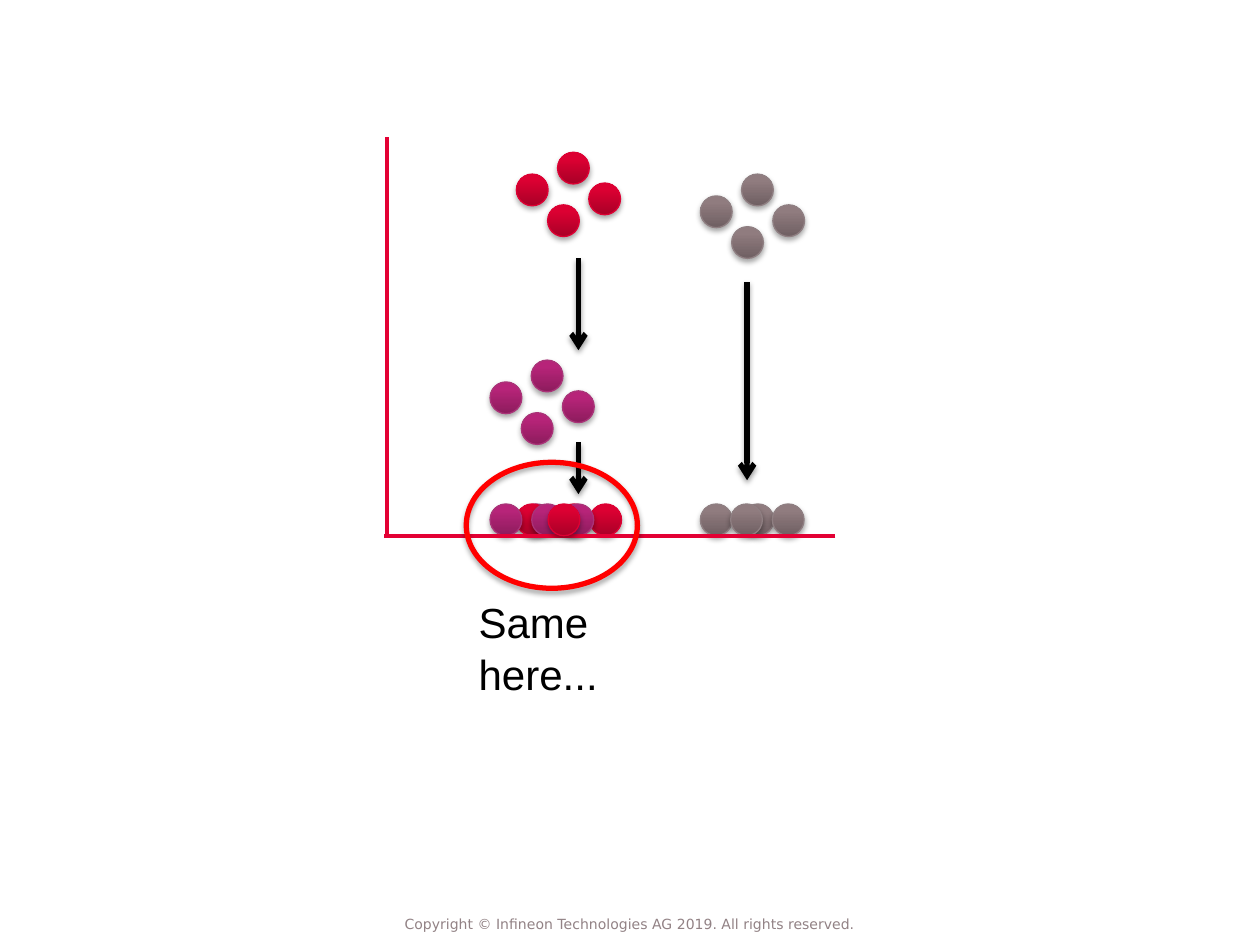
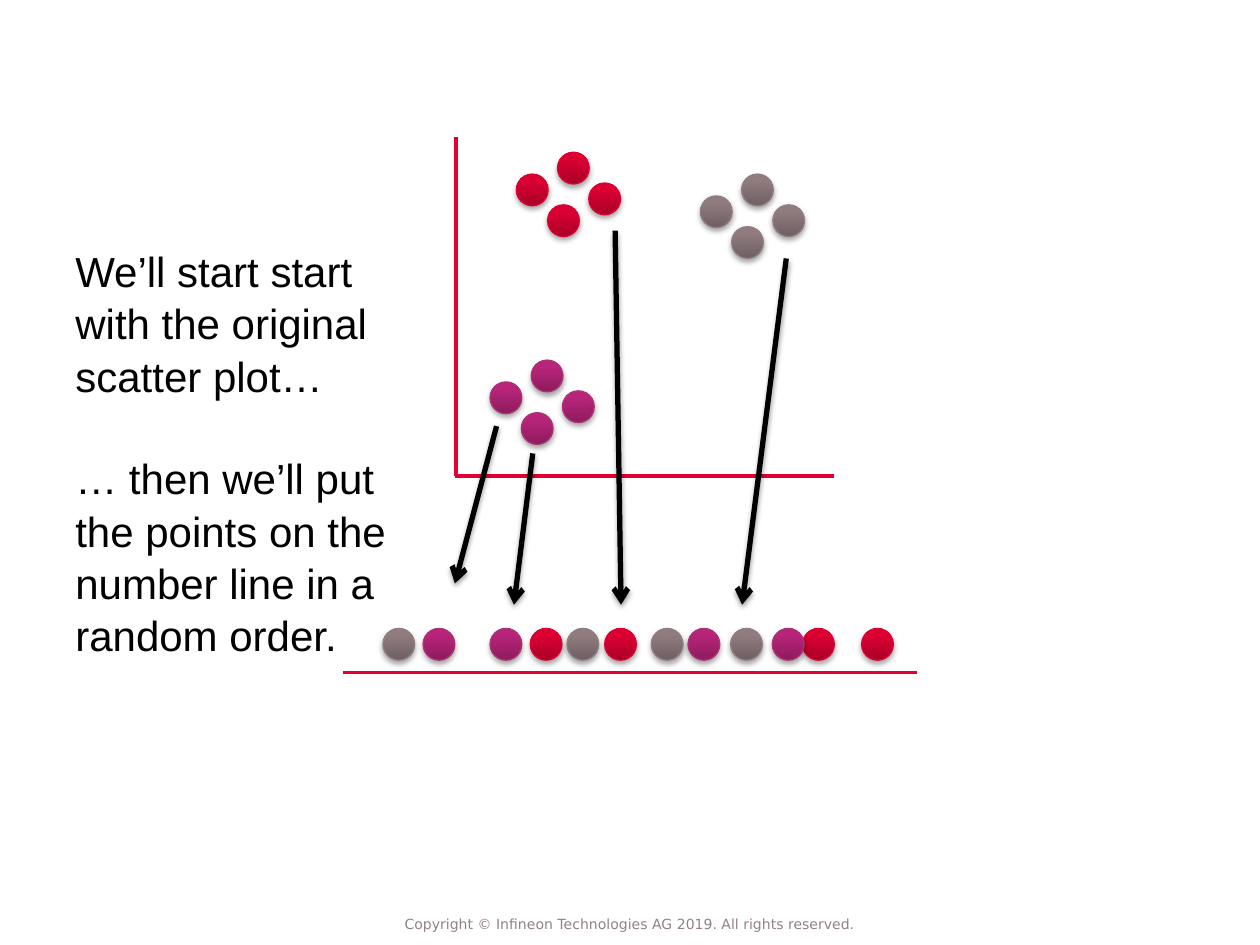
"""Build two slides that project a scatter plot onto a number line."""
from lxml import etree
from pptx import Presentation
from pptx.dml.color import RGBColor
from pptx.enum.shapes import MSO_CONNECTOR, MSO_SHAPE
from pptx.enum.text import MSO_ANCHOR, MSO_AUTO_SIZE, PP_ALIGN
from pptx.oxml.ns import qn
from pptx.util import Cm, Pt

OVAL = MSO_SHAPE.OVAL
LINE = MSO_CONNECTOR.STRAIGHT
MIDDLE = MSO_ANCHOR.MIDDLE
GROW = MSO_AUTO_SIZE.SHAPE_TO_FIT_TEXT
FIXED = MSO_AUTO_SIZE.NONE
CENTER = PP_ALIGN.CENTER

COLORS = {
    "black": "000000", "axis": "E30034", "ring": "FF0000", "foot": "928285",
    "red": "DC0032", "red low": "A90027", "red edge": "DE0033",
    "plum": "B72479", "plum low": "8D1C5D", "plum edge": "AA3378",
    "gray": "907C7F", "gray low": "6F5F62", "gray edge": "8F7F82",
}
FOOTER = "Copyright © Infineon Technologies AG 2019. All rights reserved."
DOT = 0.64
SPOTS = [(0, 0.44), (0.83, 0), (0.63, 1.06), (1.46, 0.62)]
GROUPS = {"red": (10.41, 3.07), "plum": (9.88, 7.26), "gray": (14.12, 3.51)}


def color(name):
    """Return the named colour."""
    return RGBColor.from_string(COLORS[name])


def stroke(item, name, width):
    """Set the colour and width of a line."""
    item.line.color.rgb = color(name)
    item.line.width = Pt(width)


def shade(item, alpha, drop):
    """Cast a soft shadow straight down."""
    props = item._element.spPr
    effects = props.find(qn("a:effectLst"))
    if effects is None:
        effects = etree.SubElement(props, qn("a:effectLst"))
    cast = etree.SubElement(
        effects, qn("a:outerShdw"), blurRad=str(Pt(3.1)), dist=str(Pt(drop)),
        dir="5400000", rotWithShape="0")
    tint = etree.SubElement(cast, qn("a:srgbClr"), val=COLORS["black"])
    etree.SubElement(tint, qn("a:alpha"), val=str(alpha * 1000))


def add_oval(slide, left, top, width, height):
    """Add an oval with a soft shadow."""
    oval = slide.shapes.add_shape(
        OVAL, Cm(left), Cm(top), Cm(width), Cm(height))
    oval.shadow.inherit = False
    shade(oval, 35, 1.8)
    return oval


def add_dot(slide, hue, left, top):
    """Add one data point, darker at its foot."""
    dot = add_oval(slide, left, top, DOT, DOT)
    dot.fill.gradient()
    dot.fill.gradient_angle = 90
    low, high = dot.fill.gradient_stops
    low.color.rgb, low.position = color(hue + " low"), 0
    high.color.rgb, high.position = color(hue), 0.8
    stroke(dot, hue + " edge", 0.75)


def add_row(slide, hue, top, *lefts):
    """Add points of one hue along a number line."""
    for left in lefts:
        add_dot(slide, hue, left, top)


def add_plot(slide):
    """Add the three groups of points."""
    for hue, (left, top) in GROUPS.items():
        for right, down in SPOTS:
            add_dot(slide, hue, left + right, top + down)


def add_line(slide, name, width, ends):
    """Add a straight line between two points."""
    line = slide.shapes.add_connector(LINE, *map(Cm, ends))
    stroke(line, name, width)
    return line


def add_axis(slide, *ends):
    """Add an axis without a shadow."""
    axis = add_line(slide, "axis", 2, ends)
    etree.SubElement(axis._element.spPr, qn("a:effectLst"))


def add_arrow(slide, *ends):
    """Add a thick black arrow."""
    arrow = add_line(slide, "black", 3, ends)
    etree.SubElement(arrow.line._get_or_add_ln(), qn("a:tailEnd"), type="arrow")
    shade(arrow, 38, 1.6)


def style(part, font, size, name):
    """Format the runs of a paragraph."""
    for run in part.runs:
        run.font.name = font
        run.font.size = Pt(size)
        run.font.color.rgb = color(name)


def add_note(slide, left, top, width, height, text):
    """Add a note whose paragraphs stand one line apart."""
    box = slide.shapes.add_textbox(Cm(left), Cm(top), Cm(width), Cm(height))
    frame = box.text_frame
    frame.word_wrap = True
    frame.auto_size = GROW
    frame.text = text
    for part in frame.paragraphs:
        part.line_spacing = 1.04
        style(part, "Arial", 24, "black")
    for part in frame.paragraphs[1:]:
        part.space_before = Pt(28.8)


def add_foot(slide):
    """Add the copyright line."""
    box = slide.shapes.add_textbox(Cm(11.9), Cm(18.21), Cm(1.6), Cm(0.84))
    frame = box.text_frame
    frame.margin_left = frame.margin_right = Cm(0)
    frame.margin_top = frame.margin_bottom = Cm(0)
    frame.word_wrap = False
    frame.auto_size = FIXED
    frame.vertical_anchor = MIDDLE
    frame.text = FOOTER
    part = frame.paragraphs[0]
    part.alignment = CENTER
    style(part, "DejaVu Sans", 8, "foot")


def add_ring(slide):
    """Circle the points that overlap."""
    ring = add_oval(slide, 9.4, 9.32, 3.45, 2.54)
    ring.fill.background()
    stroke(ring, "ring", 3)


def draw_drop(slide):
    """Draw the points falling onto the horizontal axis."""
    floor = 10.16
    add_row(slide, "plum", floor, 10.49)
    add_row(slide, "red", floor, 10.41, 11.25, 11.89)
    add_row(slide, "plum", floor, 9.88, 10.72, 11.33)
    add_row(slide, "gray", floor, 14.12, 14.96, 14.73, 15.57)
    add_axis(slide, 16.84, 10.8, 7.75, 10.8)
    add_axis(slide, 7.8, 2.77, 7.8, 10.8)
    add_row(slide, "red", floor, 11.05)
    add_plot(slide)
    add_arrow(slide, 15.06, 5.69, 15.06, 9.68)
    add_arrow(slide, 11.66, 5.21, 11.66, 7.06)
    add_arrow(slide, 11.66, 8.92, 11.66, 9.96)
    add_ring(slide)
    add_note(slide, 9.4, 11.86, 3.89, 1.02, "Same here...")


def draw_mix(slide):
    """Draw the points in random order on a number line."""
    floor = 12.67
    add_plot(slide)
    add_axis(slide, 16.81, 9.6, 9.17, 9.6)
    add_axis(slide, 9.19, 2.77, 9.19, 9.6)
    add_axis(slide, 18.49, 13.56, 6.91, 13.56)
    add_row(slide, "red", floor, 10.69, 12.19, 16.18, 17.37)
    add_row(slide, "plum", floor, 8.53, 9.88, 13.87, 15.57)
    add_row(slide, "gray", floor, 7.72, 11.43, 13.13, 14.73)
    add_note(slide, 1.27, 4.78, 7.29, 4.88,
             "We’ll start start with the original scatter plot…\n"
             "… then we’ll put the points on the number line in a random order.")
    add_arrow(slide, 10.01, 8.59, 9.17, 11.76)
    add_arrow(slide, 10.74, 9.14, 10.36, 12.19)
    add_arrow(slide, 12.4, 4.65, 12.52, 12.19)
    add_arrow(slide, 15.85, 5.21, 14.96, 12.19)


def main():
    """Build and save the slides."""
    deck = Presentation()
    deck.slide_width, deck.slide_height = Cm(25.4), Cm(19.05)
    for draw in (draw_drop, draw_mix):
        slide = deck.slides.add_slide(deck.slide_layouts[6])
        draw(slide)
        add_foot(slide)
    deck.save("out.pptx")


if __name__ == "__main__":
    main()
